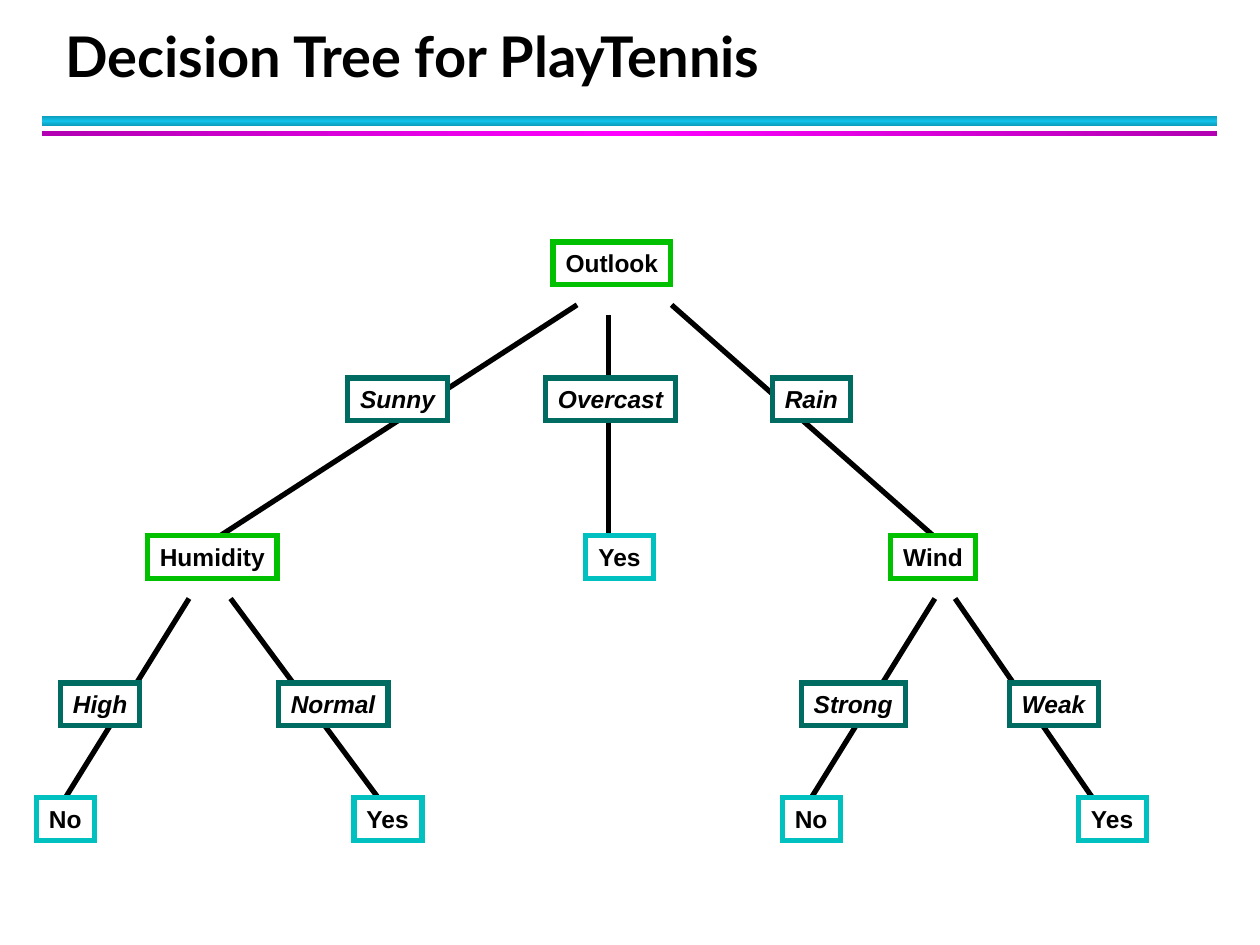
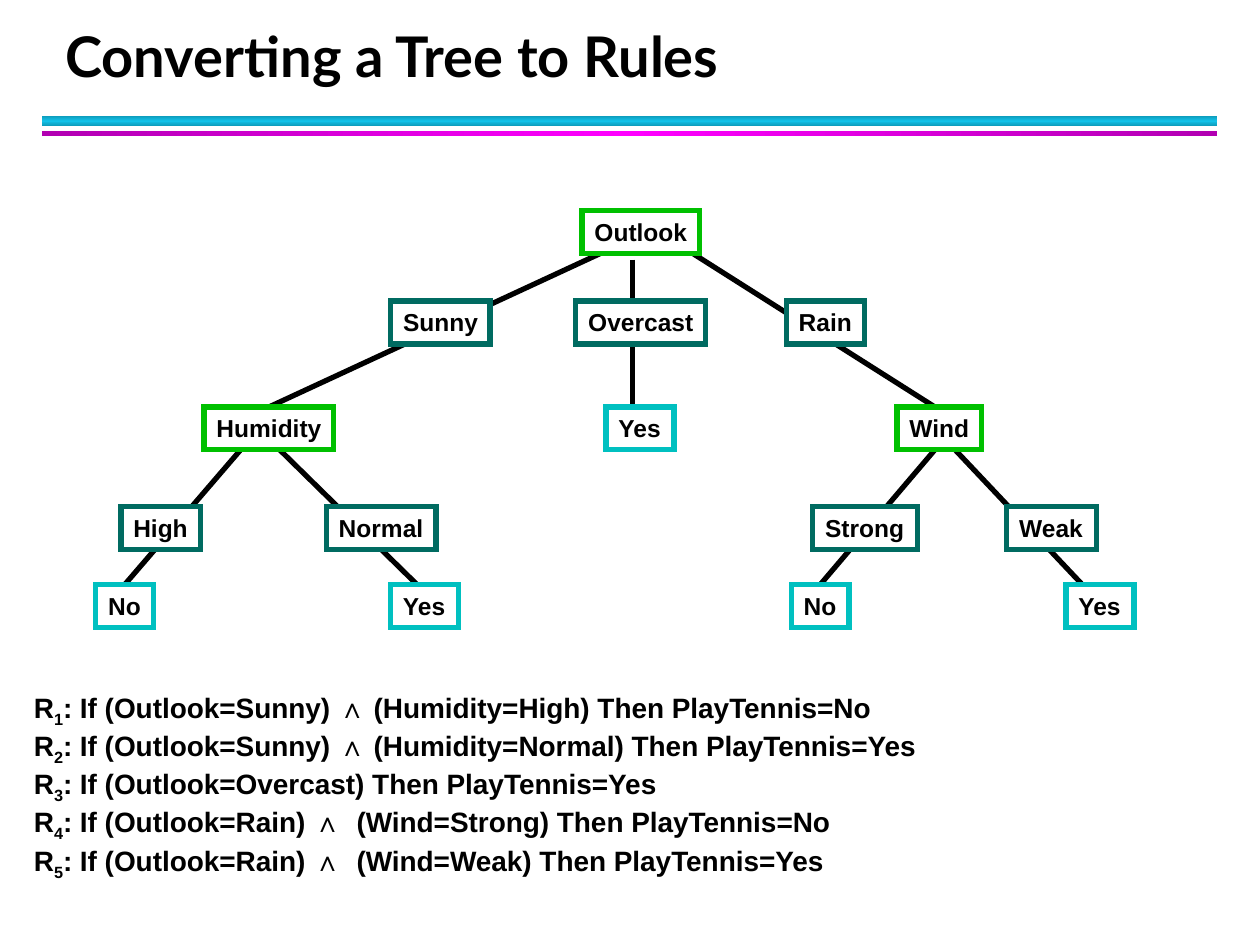
from copy import deepcopy

from pptx import Presentation
from pptx.dml.color import RGBColor
from pptx.enum.shapes import MSO_CONNECTOR as Link, MSO_SHAPE as Form
from pptx.enum.text import MSO_ANCHOR as Anchor, MSO_AUTO_SIZE as Fit, PP_ALIGN as Align
from pptx.oxml.ns import qn
from pptx.oxml.xmlchemy import OxmlElement
from pptx.util import Inches, Pt

COLORS = {
    "ink": "000000", "paper": "FFFFFF",
    "test": "00C000", "branch": "006B61", "leaf": "00C0C0",
    "cyan": "0E9BBA", "aqua": "12C2E9", "plum": "B200B2", "pink": "FF00FF",
}
HEAD, BODY = "Lato", "Arial"
HIGH = 0.34  # height of every tree box
NEAR = 0.03  # a line this close to a box's middle is joined to it

WIDTHS = {
    "Outlook": 0.93, "Sunny": 0.79, "Overcast": 1.03, "Rain": 0.62,
    "Humidity": 1.03, "Wind": 0.67, "High": 0.63, "Normal": 0.87,
    "Strong": 0.83, "Weak": 0.71, "Yes": 0.54, "No": 0.46,
}
TREE = [
    [("Outlook", "test")],
    [("Sunny", "branch"), ("Overcast", "branch"), ("Rain", "branch")],
    [("Humidity", "test"), ("Yes", "leaf"), ("Wind", "test")],
    [("High", "branch"), ("Normal", "branch"), ("Strong", "branch"), ("Weak", "branch")],
    [("No", "leaf"), ("Yes", "leaf"), ("No", "leaf"), ("Yes", "leaf")],
]

# Each row is (top, left edges); each line is (start x, start y, end x),
# keyed by the row it leads to.
TALL = {
    "rows": [
        (1.92, [4.39]),
        (3, [2.76, 4.33, 6.13]),
        (4.25, [1.17, 4.65, 7.07]),
        (5.42, [0.48, 2.21, 6.36, 8.01]),
        (6.33, [0.29, 2.81, 6.21, 8.56]),
    ],
    "lines": {
        2: [(4.58, 2.42, 1.75), (4.83, 2.5, 4.83), (5.33, 2.42, 7.42)],
        4: [(1.5, 4.75, 0.5), (1.83, 4.75, 3), (7.42, 4.75, 6.42), (7.58, 4.75, 8.67)],
    },
}
SHORT = {
    "rows": [
        (1.67, [4.62]),
        (2.39, [3.1, 4.57, 6.24]),
        (3.23, [1.62, 4.81, 7.12]),
        (4.02, [0.96, 2.59, 6.45, 7.99]),
        (4.64, [0.76, 3.1, 6.28, 8.46]),
    ],
    "lines": {
        2: [(4.79, 2, 2.14), (5.02, 2.06, 5.02), (5.48, 2, 7.42)],
        4: [(1.91, 3.57, 0.98), (2.22, 3.57, 3.31), (7.42, 3.57, 6.49), (7.58, 3.57, 8.59)],
    },
}
RULES = [
    "(Outlook=Sunny) ∧ (Humidity=High) Then PlayTennis=No",
    "(Outlook=Sunny) ∧ (Humidity=Normal) Then PlayTennis=Yes",
    "(Outlook=Overcast) Then PlayTennis=Yes",
    "(Outlook=Rain) ∧  (Wind=Strong) Then PlayTennis=No",
    "(Outlook=Rain) ∧  (Wind=Weak) Then PlayTennis=Yes",
]


def paint(name):
    return RGBColor.from_string(COLORS[name])


def write(frame, text, size=14, font=BODY, italic=False, space=None,
          anchor=Anchor.TOP, fit=Fit.NONE):
    """Fill a frame line by line; text between bars is set as subscript."""
    frame.word_wrap, frame.auto_size = True, fit
    frame.vertical_anchor = anchor
    for at, line in enumerate(text.split("\n")):
        para = frame.add_paragraph() if at else frame.paragraphs[0]
        para.alignment = Align.LEFT
        if space:
            para.line_spacing = Pt(space)
        for part, words in enumerate(line.split("|")):
            run = para.add_run()
            run.text = words
            run.font.name, run.font.size = font, Pt(size)
            run.font.bold, run.font.italic = True, italic
            run.font.color.rgb = paint("ink")
            if part % 2:
                run.font._element.set("baseline", "-25000")


class Deck:
    """Holds the shared style and the current slide."""

    def __init__(self):
        self.show = Presentation()
        self.show.slide_width, self.show.slide_height = Inches(10), Inches(7.5)
        self.slide = None

    def start(self, title):
        self.slide = self.show.slides.add_slide(self.show.slide_layouts[6])
        self.band(0.92, 0.08, "cyan", "aqua", 90)
        self.band(1.04, 0.04, "plum", "pink", 180)
        self.text(title, 0.42, 0.17, 9.06, 0.58, size=32, font=HEAD,
                  space=36, anchor=Anchor.BOTTOM)

    def rect(self, left, top, width, height):
        shape = self.slide.shapes.add_shape(
            Form.RECTANGLE, *map(Inches, (left, top, width, height)))
        shape.shadow.inherit = False
        return shape

    def band(self, top, height, edge, core, angle):
        shape = self.rect(0.33, top, 9.33, height)
        shape.line.fill.background()
        fill = shape.fill
        fill.gradient()
        fill.gradient_angle = angle
        stops = shape._element.spPr.find(qn("a:gradFill")).find(qn("a:gsLst"))
        stops.append(deepcopy(stops[0]))
        for stop, place, name in zip(fill.gradient_stops, (0, 0.5, 1), (edge, core, edge)):
            stop.position = place
            stop.color.rgb = paint(name)

    def text(self, words, left, top, width, height, **style):
        box = self.slide.shapes.add_textbox(*map(Inches, (left, top, width, height)))
        write(box.text_frame, words, **style)

    def node(self, label, kind, left, top, italic):
        shape = self.rect(left, top, WIDTHS[label], HIGH)
        shape.fill.solid()
        shape.fill.fore_color.rgb = paint("paper")
        shape.line.color.rgb = paint(kind)
        shape.line.width = Pt(3)
        miter = OxmlElement("a:miter")
        miter.set("lim", "800000")
        shape._element.spPr.find(qn("a:ln")).append(miter)
        shape.text_frame.margin_right = Inches(0.02)
        write(shape.text_frame, label, italic=italic)
        return shape

    def line(self, *ends):
        link = self.slide.shapes.add_connector(Link.STRAIGHT, *map(Inches, ends))
        link.line.color.rgb = paint("ink")
        link.line.width = Pt(3)
        link._element.spPr.append(OxmlElement("a:effectLst"))
        return link

    def tree(self, plan, slant=False):
        """Draw lines behind the boxes, then join those that meet a middle."""
        rows = plan["rows"]
        links = {
            row: [self.line(x, y, end, rows[row][0]) for x, y, end in lines]
            for row, lines in plan["lines"].items()
        }
        for row, (names, (top, lefts)) in enumerate(zip(TREE, rows)):
            nodes = [self.node(label, kind, left, top, slant and kind == "branch")
                     for (label, kind), left in zip(names, lefts)]
            for link, node in zip(links.get(row, []), nodes):
                if abs(link.end_x - node.left - node.width / 2) <= Inches(NEAR):
                    link.end_connect(node, 0)


def main():
    deck = Deck()
    deck.start("Decision Tree for PlayTennis")
    deck.tree(TALL, slant=True)

    deck.start("Converting a Tree to Rules")
    deck.tree(SHORT)
    rules = "\n".join(f"R|{num}|: If {rule}" for num, rule in enumerate(RULES, 1))
    deck.text(rules, 0.17, 5.43, 8.95, 1.89, size=16, fit=Fit.SHAPE_TO_FIT_TEXT)
    deck.show.save("out.pptx")


if __name__ == "__main__":
    main()
